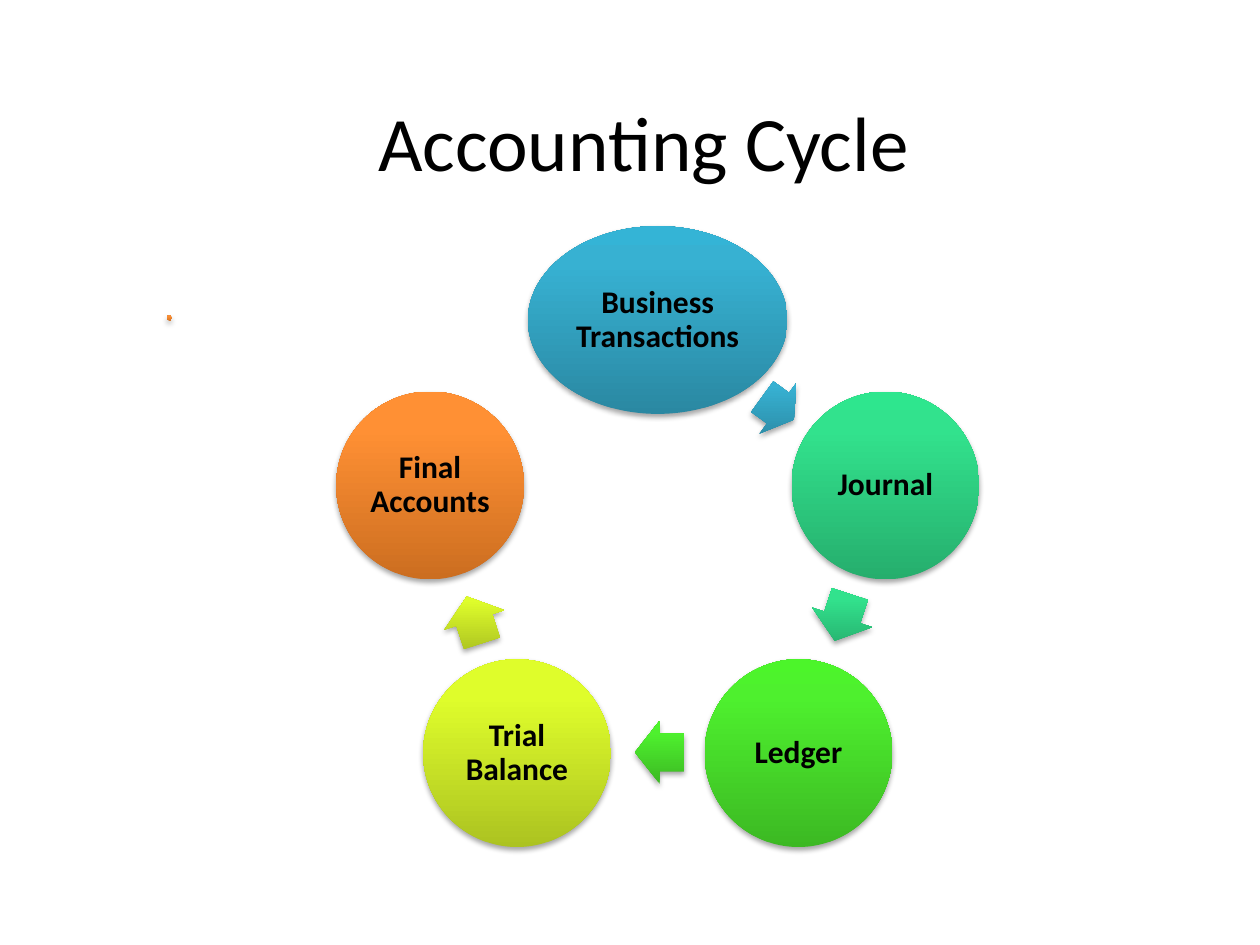
"""Build the Accounting Cycle slide: five stages on a ring, joined by block arrows."""
import math
from dataclasses import dataclass

import pptx
import pptx.dml.color
import pptx.enum.shapes
import pptx.enum.text
import pptx.oxml
import pptx.oxml.ns
import pptx.util

Inches = pptx.util.Inches
RGBColor = pptx.dml.color.RGBColor
MSO_SHAPE = pptx.enum.shapes.MSO_SHAPE

BLACK = RGBColor(0x00, 0x00, 0x00)
BLUE = (RGBColor(0x2A, 0x88, 0xA2), RGBColor(0x37, 0xB1, 0xD2), RGBColor(0x34, 0xB4, 0xD6))
TEAL = (RGBColor(0x26, 0xAE, 0x6D), RGBColor(0x32, 0xE2, 0x8D), RGBColor(0x2E, 0xE6, 0x8E))
GREEN = (RGBColor(0x3C, 0xB9, 0x23), RGBColor(0x4E, 0xF0, 0x2E), RGBColor(0x4C, 0xF5, 0x2A))
LIME = (RGBColor(0xAC, 0xC3, 0x21), RGBColor(0xDF, 0xFD, 0x2B), RGBColor(0xE1, 0xFF, 0x2B))
ORANGE = (RGBColor(0xCC, 0x6E, 0x20), RGBColor(0xFF, 0x90, 0x34), RGBColor(0xFF, 0x91, 0x36))

FONT = "Calibri"
RING_X, RING_Y, RING_RADIUS = 5.22, 4.44, 1.9
STAGE_HEIGHT = 1.49
GRADIENT_STOPS = (0, 80, 100)


@dataclass(frozen=True)
class Arrow:
    left: float
    top: float
    width: float
    height: float
    rotation: int


@dataclass(frozen=True)
class Stage:
    label: str
    colors: tuple[RGBColor, RGBColor, RGBColor]
    arrow: Arrow
    width: float = STAGE_HEIGHT


STAGES = (
    Stage("Business Transactions", BLUE, Arrow(6.02, 2.99, 0.31, 0.5, 36), 2.06),
    Stage("Journal", TEAL, Arrow(6.49, 4.65, 0.39, 0.5, 108)),
    Stage("Ledger", GREEN, Arrow(5.04, 5.72, 0.39, 0.5, 180)),
    Stage("Trial Balance", LIME, Arrow(3.57, 4.67, 0.39, 0.5, 252)),
    Stage("Final Accounts", ORANGE, Arrow(1.32, 2.5, 0.04, 0.05, 144)),
)


def style_surface(shape, colors: tuple[RGBColor, ...]) -> None:
    """Give a shape an upright gradient, no outline and a soft shadow below."""
    namespace = pptx.oxml.ns.nsdecls("a")
    stops = "".join(
        f'<a:gs pos="{position * 1000}"><a:srgbClr val="{color}"/></a:gs>'
        for position, color in zip(GRADIENT_STOPS, colors)
    )
    gradient = pptx.oxml.parse_xml(
        f'<a:gradFill {namespace} rotWithShape="0"><a:gsLst>{stops}</a:gsLst>'
        '<a:lin ang="16200000" scaled="0"/></a:gradFill>'
    )
    shadow = pptx.oxml.parse_xml(
        f'<a:outerShdw {namespace} blurRad="{pptx.util.Pt(3.1)}" dist="{pptx.util.Pt(1.8)}" '
        'dir="5400000" rotWithShape="0"><a:srgbClr val="000000">'
        '<a:alpha val="35000"/></a:srgbClr></a:outerShdw>'
    )
    properties = shape._element.spPr
    properties.find(pptx.oxml.ns.qn("a:prstGeom")).addnext(gradient)
    shape.line.fill.background()
    shape.shadow.inherit = False
    properties.find(pptx.oxml.ns.qn("a:effectLst")).append(shadow)


def write_centered(shape, text: str, size: int, bold: bool = False):
    """Write one centred paragraph and return it."""
    frame = shape.text_frame
    frame.word_wrap = True
    frame.vertical_anchor = pptx.enum.text.MSO_ANCHOR.MIDDLE
    paragraph = frame.paragraphs[0]
    paragraph.text = text
    paragraph.alignment = pptx.enum.text.PP_ALIGN.CENTER
    paragraph.font.name = FONT
    paragraph.font.size = pptx.util.Pt(size)
    paragraph.font.bold = bold
    paragraph.font.color.rgb = BLACK
    return paragraph


def draw_stage(slide, stage: Stage, angle: float) -> None:
    """Draw a labelled stage at a clockwise angle from the top of the ring."""
    center_x = RING_X + RING_RADIUS * math.sin(angle)
    center_y = RING_Y - RING_RADIUS * math.cos(angle)
    ellipse = slide.shapes.add_shape(
        MSO_SHAPE.OVAL,
        Inches(center_x - stage.width / 2), Inches(center_y - STAGE_HEIGHT / 2),
        Inches(stage.width), Inches(STAGE_HEIGHT),
    )
    style_surface(ellipse, stage.colors)
    frame = ellipse.text_frame
    frame.margin_left = frame.margin_right = Inches(0.03)
    frame.margin_top = frame.margin_bottom = Inches(0.03)
    write_centered(ellipse, stage.label, 18, bold=True).line_spacing = 0.9


def draw_arrow(slide, arrow: Arrow, colors: tuple[RGBColor, ...]) -> None:
    """Draw the block arrow that leads on from a stage."""
    pointer = slide.shapes.add_shape(
        MSO_SHAPE.RIGHT_ARROW,
        Inches(arrow.left), Inches(arrow.top), Inches(arrow.width), Inches(arrow.height),
    )
    pointer.adjustments[0] = 0.6
    pointer.adjustments[1] = 0.5
    pointer.rotation = arrow.rotation
    style_surface(pointer, colors)


def main() -> None:
    """Build and save the slide."""
    deck = pptx.Presentation()
    deck.slide_width, deck.slide_height = Inches(10), Inches(7.5)
    slide = deck.slides.add_slide(deck.slide_layouts[6])
    title = slide.shapes.add_textbox(Inches(0.86), Inches(0.31), Inches(8.5), Inches(1.61))
    write_centered(title, "Accounting Cycle", 44)
    for index, stage in enumerate(STAGES):
        draw_stage(slide, stage, math.tau * index / len(STAGES))
        draw_arrow(slide, stage.arrow, stage.colors)
    deck.save("out.pptx")


if __name__ == "__main__":
    main()
